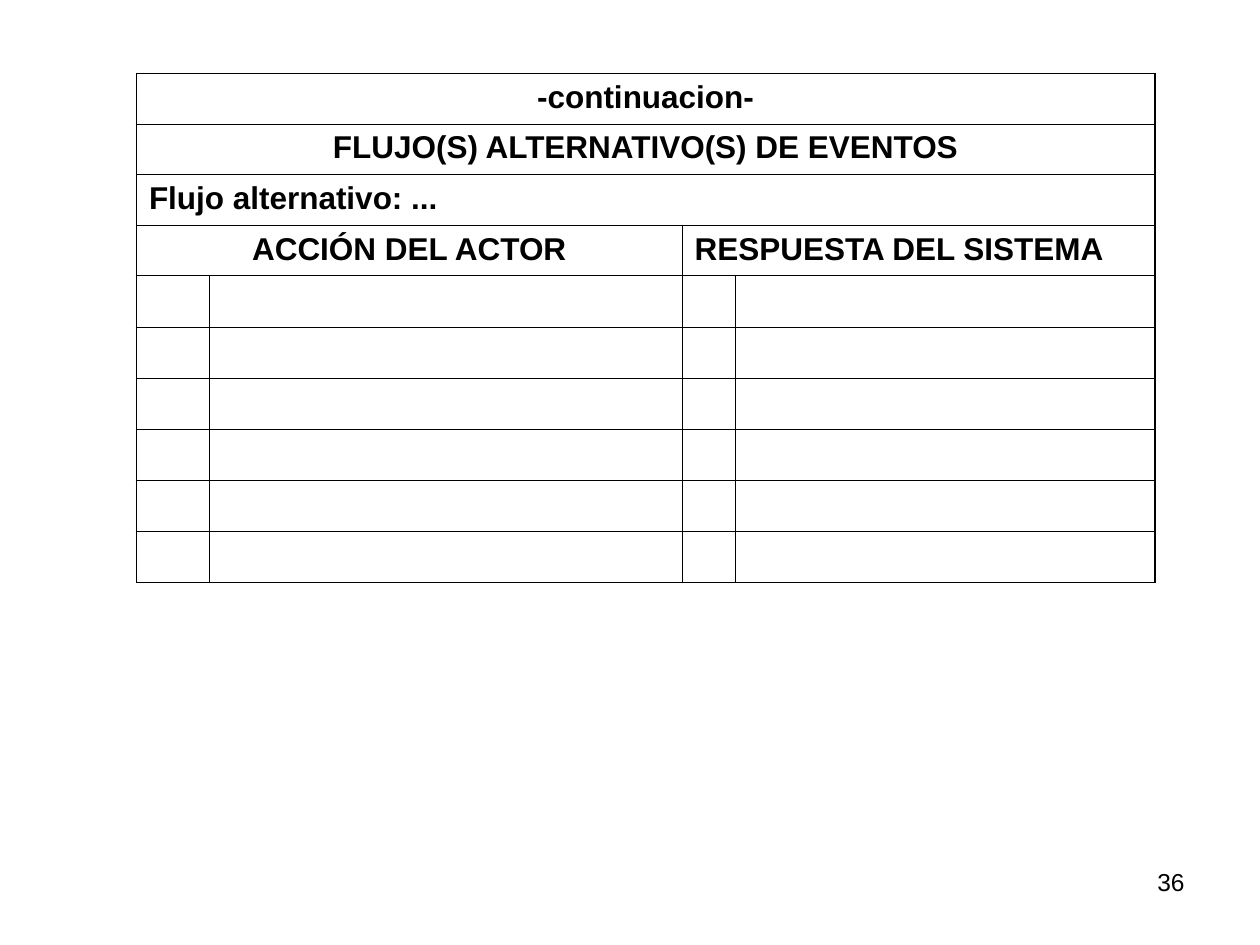
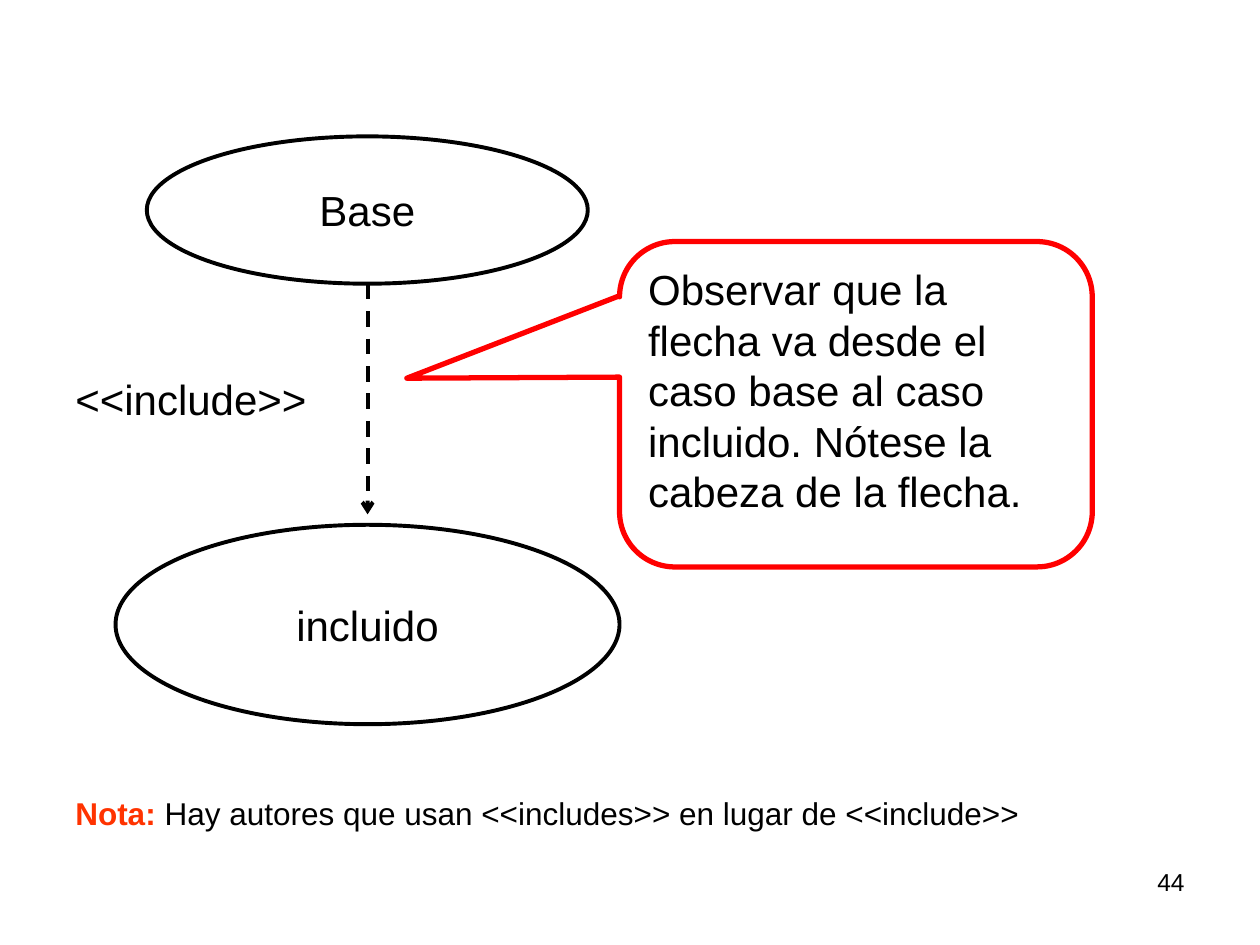
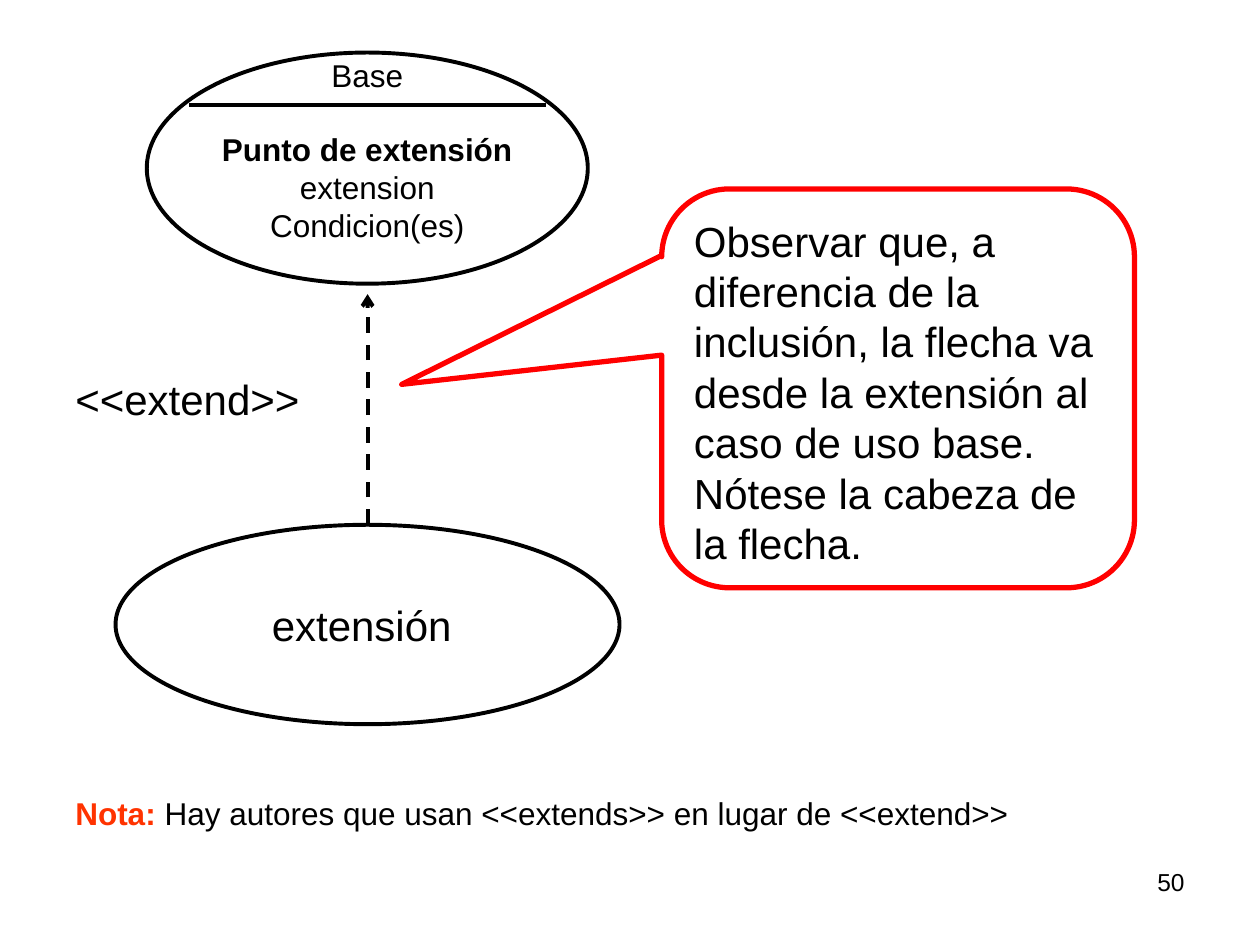
from lxml import etree
from pptx import Presentation
from pptx.dml.color import RGBColor
from pptx.enum.dml import MSO_LINE_DASH_STYLE as Dash
from pptx.enum.shapes import MSO_CONNECTOR as Connector, MSO_SHAPE as Shape
from pptx.enum.text import MSO_ANCHOR as Anchor, PP_ALIGN as Align
from pptx.oxml.ns import qn
from pptx.util import Cm, Pt

COLORS = {"ink": "000000", "callout": "FF0000", "note": "FF3300"}
FONT = "Arial"
LEFT_MARGIN = 1.27
ARROW_X = 7.41


def write(frame, lines, size, align=Align.LEFT):
    """Fill a text frame with one paragraph per line, all in the shared font."""
    for index, line in enumerate(lines):
        para = frame.add_paragraph() if index else frame.paragraphs[0]
        para.text = line
        para.alignment = align
        para.font.name = FONT
        para.font.size = Pt(size)
        para.font.color.rgb = RGBColor.from_string(COLORS["ink"])


def draw_line(page, x1, y1, x2, y2):
    line = page.shapes.add_connector(Connector.STRAIGHT, Cm(x1), Cm(y1), Cm(x2), Cm(y2))
    line.line.width = Pt(2.25)
    line.line.color.rgb = RGBColor.from_string(COLORS["ink"])
    etree.SubElement(line.element.spPr, qn("a:effectLst"))
    return line


deck = Presentation()
deck.slide_width, deck.slide_height = Cm(25.4), Cm(19.05)
blank_layout = deck.slide_layouts[6]

# Alternative flow table
page = deck.slides.add_slide(blank_layout)
column_widths = [1.48, 9.52, 1.07, 8.46]
row_count, row_height = 10, 1.02
table = page.shapes.add_table(
    row_count, len(column_widths), Cm(2.75), Cm(1.48),
    Cm(sum(column_widths)), Cm(row_count * row_height)).table
table.first_row = table.horz_banding = False
for column, width in zip(table.columns, column_widths):
    column.width = Cm(width)
for row in table.rows:
    row.height = Cm(row_height)

# Row, first column, last column, text, alignment
headings = [
    (0, 0, 3, "-continuacion-", Align.CENTER),
    (1, 0, 3, "FLUJO(S) ALTERNATIVO(S) DE EVENTOS", Align.CENTER),
    (2, 0, 3, "Flujo alternativo: ...", Align.LEFT),
    (3, 0, 1, "ACCIÓN DEL ACTOR", Align.CENTER),
    (3, 2, 3, "RESPUESTA DEL SISTEMA", Align.LEFT),
]
for row, first, last, text, align in headings:
    cell = table.cell(row, first)
    cell.merge(table.cell(row, last))
    write(cell.text_frame, [text], 18, align)
    cell.text_frame.paragraphs[0].font.bold = True

for row in range(row_count):
    for column in range(len(column_widths)):
        cell = table.cell(row, column)
        if cell.is_spanned:
            continue
        span_width = cell.span_width if cell.is_merge_origin else 1
        outer_edges = {
            "a:lnL": column == 0,
            "a:lnR": column + span_width == len(column_widths),
            "a:lnT": row == 0,
            "a:lnB": row == row_count - 1,
        }
        properties = cell._tc.get_or_add_tcPr()
        for tag, is_outer in outer_edges.items():
            border = etree.SubElement(properties, qn(tag), w=str(Pt(1.08 if is_outer else 0.45)))
            fill = etree.SubElement(border, qn("a:solidFill"))
            etree.SubElement(fill, qn("a:srgbClr"), val=COLORS["ink"])
        cell.fill.background()

# Use case relations
relations = [
    {
        "keyword": "include",
        "base_lines": ["Base"], "base_size": 24, "base_top": 2.75, "base_height": 2.97,
        "other": "incluido",
        "arrow": (5.72, 10.37),
        "callout_box": (12.49, 4.87, 9.53, 6.56), "callout_tip": (-0.95, -0.08),
        "callout": "Observar que la flecha va desde el caso base al caso incluido. "
                   "Nótese la cabeza de la flecha.",
    },
    {
        "keyword": "extend",
        "base_lines": ["Base", "Punto de extensión", "extension", "Condicion(es)"],
        "base_size": 18, "base_top": 1.06, "base_height": 4.66,
        "other": "extensión ",
        "arrow": (10.58, 5.93),
        "callout_box": (13.34, 3.81, 9.53, 8.04), "callout_tip": (-1.05, -0.01),
        "callout": "Observar que, a diferencia de la inclusión, la flecha va desde la "
                   "extensión al caso de uso base. Nótese la cabeza de la flecha.",
    },
]
for relation in relations:
    page = deck.slides.add_slide(blank_layout)
    keyword = relation["keyword"]

    use_cases = [
        (relation["base_lines"], relation["base_size"],
         (2.96, relation["base_top"], 8.89, relation["base_height"])),
        ([relation["other"]], 24, (2.33, 10.58, 10.16, 4.02)),
    ]
    for lines, size, place in use_cases:
        ellipse = page.shapes.add_shape(Shape.OVAL, *map(Cm, place))
        ellipse.shadow.inherit = False
        ellipse.fill.background()
        ellipse.line.width = Pt(2.25)
        ellipse.line.color.rgb = RGBColor.from_string(COLORS["ink"])
        frame = ellipse.text_frame
        frame.word_wrap = False
        frame.vertical_anchor = Anchor.MIDDLE
        write(frame, lines, size, Align.CENTER)
        if len(lines) > 1:
            extension_point = frame.paragraphs[1]
            extension_point.font.bold = True
            extension_point.space_before = Pt(20.7)
            frame.margin_bottom = Pt(24.3)

    start, end = relation["arrow"]
    arrow = draw_line(page, ARROW_X, start, ARROW_X, end)
    arrow.line.dash_style = Dash.DASH
    etree.SubElement(arrow.line._get_or_add_ln(), qn("a:tailEnd"), type="arrow")

    label = page.shapes.add_textbox(Cm(LEFT_MARGIN), Cm(7.41), Cm(5.72), Cm(1.27))
    label.text_frame.word_wrap = True
    write(label.text_frame, [f"<<{keyword}>>"], 24)

    callout = page.shapes.add_shape(
        Shape.ROUNDED_RECTANGULAR_CALLOUT, *map(Cm, relation["callout_box"]))
    for index, value in enumerate((*relation["callout_tip"], 0.17)):
        callout.adjustments[index] = value
    callout.shadow.inherit = False
    callout.fill.background()
    callout.line.width = Pt(3)
    callout.line.color.rgb = RGBColor.from_string(COLORS["callout"])
    callout.text_frame.word_wrap = True
    callout.text_frame.vertical_anchor = Anchor.TOP
    write(callout.text_frame, [relation["callout"]], 24)

    note = page.shapes.add_textbox(Cm(LEFT_MARGIN), Cm(15.88), Cm(20.53), Cm(1.02))
    note.text_frame.word_wrap = True
    write(note.text_frame, ["Nota:"], 18)
    para = note.text_frame.paragraphs[0]
    span = para.runs[0]
    span.font.bold = True
    span.font.color.rgb = RGBColor.from_string(COLORS["note"])
    para.add_run().text = f" Hay autores que usan <<{keyword}s>> en lugar de <<{keyword}>>"

    if len(relation["base_lines"]) > 1:
        draw_line(page, 3.81, 2.12, 11.01, 2.12)

# Page numbers
for page, number in zip(deck.slides, (36, 44, 50)):
    box = page.shapes.add_textbox(Cm(18.2), Cm(17.36), Cm(5.93), Cm(1.32))
    box.text_frame.word_wrap = True
    write(box.text_frame, [str(number)], 14, Align.RIGHT)

deck.save("out.pptx")
